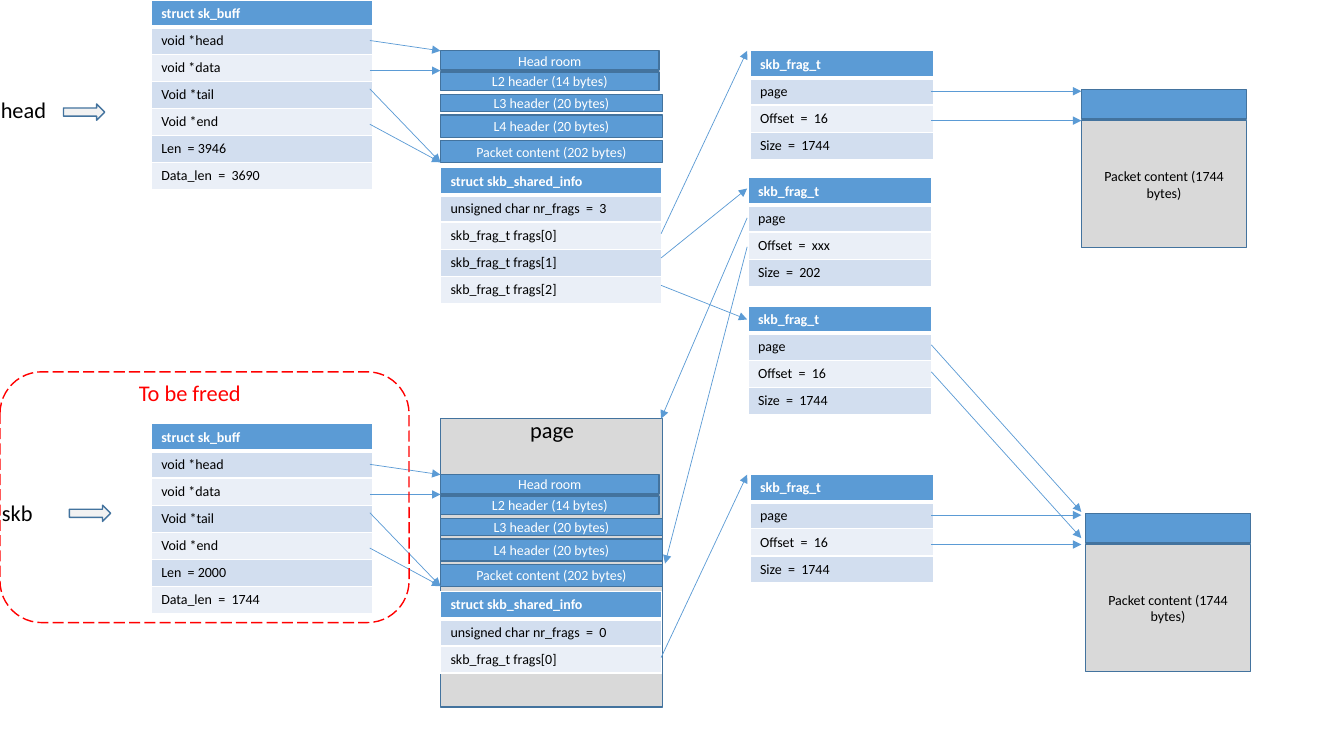
from lxml.etree import SubElement
from pptx import Presentation
from pptx.dml.color import RGBColor
from pptx.enum.dml import MSO_LINE
from pptx.enum.shapes import MSO_CONNECTOR, MSO_SHAPE as Preset
from pptx.enum.text import MSO_ANCHOR, PP_ALIGN
from pptx.oxml.ns import qn
from pptx.util import Cm, Pt

BLUE, OUTLINE, GREY, PALE = "5B9BD5", "43739E", "D9D9D9", "F2F2F2"
BANDS = ("D2DEEF", "EAEFF7")
WHITE, BLACK, RED = "FFFFFF", "000000", "FF0000"

# All positions and sizes are in centimetres.
ROW, HALF_STEP = 0.68, 10.68
BUFFER_X, LINEAR_X = 3.81, 11.1
STRUCT_W, FRAG_W = 5.57, 4.62
SHARED_Y = 4.23

# Each half: Len, Data_len, nr_frags, number of frags, x of the packet page
HALVES = [(3946, 3690, 3, 3, 27.25), (2000, 1744, 0, 1, 27.35)]

# Linear area: text, top, width, height
LINEAR_AREA = [
    ("Head room", 1.28, 5.51, 0.49),
    ("L2 header (14 bytes)", 1.82, 5.51, 0.46),
    ("L3 header (20 bytes)", 2.38, 5.59, 0.43),
    ("L4 header (20 bytes)", 2.9, 5.59, 0.56),
    ("Packet content (202 bytes)", 3.54, 5.59, 0.56),
]

# Fragments: x, y, offset, size
FRAGS = [
    (18.9, 1.28, "16", 1744),
    (18.85, 4.48, "xxx", 202),
    (18.85, 7.71, "16", 1744),
    (18.9, 1.28 + HALF_STEP, "16", 1744),
]

# Arrows: from x, from y, to x, to y
HALF_ARROWS = [
    (9.32, 1.02, 11.1, 1.28),
    (9.32, 1.78, 11.1, 1.78),
    (9.32, 2.24, 11.1, 4.09),
    (9.32, 3.13, 11.1, 4.09),
    (16.66, 5.89, 18.83, 1.28),
    (23.47, 2.3, 27.25, 2.3),
    (23.47, 3.04, 27.25, 3.04),
]
CROSS_ARROWS = [
    (16.66, 6.5, 18.83, 4.75),
    (16.66, 7.19, 18.83, 8.05),
    (23.47, 8.69, 27.25, 12.9),
    (23.47, 9.37, 27.25, 13.56),
    (18.83, 5.49, 16.66, 10.55),
    (18.83, 6.22, 16.76, 14.2),
]

# Labels: text, x, y, width, colour
LABELS = [
    ("head", -0.23, 2.29, 1.98, BLACK),
    ("skb", -0.2, 12.45, 1.98, BLACK),
    ("To be freed", 3.25, 9.42, 3.12, RED),
    ("page", 13.11, 10.36, 1.98, BLACK),
]
POINTERS = [(1.6, 2.62), (1.75, 12.73)]


def rgb(value):
    return RGBColor.from_string(value)


def style_text(paragraph, size, color, bold=False):
    font = paragraph.font
    font.name, font.size, font.bold = "Calibri", Pt(size), bold
    font.color.rgb = rgb(color)


def add_block(shapes, box, fill, text="", color=WHITE, preset=Preset.RECTANGLE, line=OUTLINE):
    block = shapes.add_shape(preset, *map(Cm, box))
    block.shadow.inherit = False
    if fill:
        block.fill.solid()
        block.fill.fore_color.rgb = rgb(fill)
    else:
        block.fill.background()
    block.line.color.rgb = rgb(line)
    block.line.width = Pt(1)
    if text:
        frame = block.text_frame
        frame.text, frame.word_wrap = text, True
        frame.vertical_anchor = MSO_ANCHOR.MIDDLE
        frame.paragraphs[0].alignment = PP_ALIGN.CENTER
        style_text(frame.paragraphs[0], 10, color)
    return block


def add_border(cell, side, points):
    edge = SubElement(cell._tc.get_or_add_tcPr(), qn("a:ln" + side), w=str(Pt(points)))
    SubElement(SubElement(edge, qn("a:solidFill")), qn("a:srgbClr"), val=WHITE)


def add_struct(shapes, x, y, width, lines):
    """Draw a struct as a one-column table: its name, then its fields."""
    box = map(Cm, (x, y, width, ROW * len(lines)))
    table = shapes.add_table(len(lines), 1, *box).table
    for i, line in enumerate(lines):
        cell = table.cell(i, 0)
        cell.text = line
        style_text(cell.text_frame.paragraphs[0], 10, BLACK if i else WHITE, bold=i == 0)
        for side in "LRTB":
            thick = (i == 0 and side == "B") or (i == 1 and side == "T")
            add_border(cell, side, 3 if thick else 1)
        cell.fill.solid()
        cell.fill.fore_color.rgb = rgb(BANDS[(i - 1) % 2] if i else BLUE)


def add_arrow(shapes, x1, y1, x2, y2):
    arrow = shapes.add_connector(MSO_CONNECTOR.STRAIGHT, *map(Cm, (x1, y1, x2, y2)))
    arrow.line.color.rgb = rgb(BLUE)
    arrow.line.width = Pt(0.5)
    SubElement(arrow.line._get_or_add_ln(), qn("a:tailEnd"), type="triangle")
    SubElement(arrow._element.spPr, qn("a:effectLst"))


def add_label(shapes, text, x, y, width, color):
    frame = shapes.add_textbox(*map(Cm, (x, y, width, 0.94))).text_frame
    frame.text, frame.word_wrap = text, True
    style_text(frame.paragraphs[0], 16, color)


def add_half(shapes, top, length, data_len, nr_frags, frag_count, packet_x):
    """Draw one sk_buff with its linear area, shared info and packet page."""
    add_struct(shapes, BUFFER_X, top, STRUCT_W, [
        "struct sk_buff", "void *head", "void *data", "Void *tail", "Void *end",
        f"Len  = {length}", f"Data_len  =  {data_len}"])
    for text, y, width, height in LINEAR_AREA:
        add_block(shapes, (LINEAR_X, top + y, width, height), BLUE, text)
    add_struct(shapes, LINEAR_X, top + SHARED_Y, STRUCT_W, [
        "struct skb_shared_info", f"unsigned char nr_frags  =  {nr_frags}",
        *(f"skb_frag_t frags[{i}]" for i in range(frag_count))])
    add_block(shapes, (packet_x, top + 3.04, 4.17, 3.2), GREY,
              "Packet content (1744 bytes)", BLACK)
    add_block(shapes, (packet_x, top + 2.26, 4.17, 0.74), BLUE)


def main():
    deck = Presentation()
    deck.slide_width, deck.slide_height = Cm(33.87), Cm(19.05)
    shapes = deck.slides.add_slide(deck.slide_layouts[6]).shapes

    add_block(shapes, (LINEAR_X, 10.55, 5.59, 7.27), GREY)
    for i, half in enumerate(HALVES):
        add_half(shapes, i * HALF_STEP, *half)
    for x, y, offset, size in FRAGS:
        add_struct(shapes, x, y, FRAG_W, [
            "skb_frag_t", "page", f"Offset  =  {offset}", f"Size  =  {size}"])

    for top in (0, HALF_STEP):
        for x1, y1, x2, y2 in HALF_ARROWS:
            add_arrow(shapes, x1, top + y1, x2, top + y2)
    for ends in CROSS_ARROWS:
        add_arrow(shapes, *ends)

    for x, y in POINTERS:
        add_block(shapes, (x, y, 1.04, 0.41), PALE, preset=Preset.RIGHT_ARROW)
    freed = add_block(shapes, (0, 9.37, 10.31, 6.32), None,
                      preset=Preset.ROUNDED_RECTANGLE, line=RED)
    freed.line.dash_style = MSO_LINE.LONG_DASH
    for label in LABELS:
        add_label(shapes, *label)

    deck.save("out.pptx")


if __name__ == "__main__":
    main()
